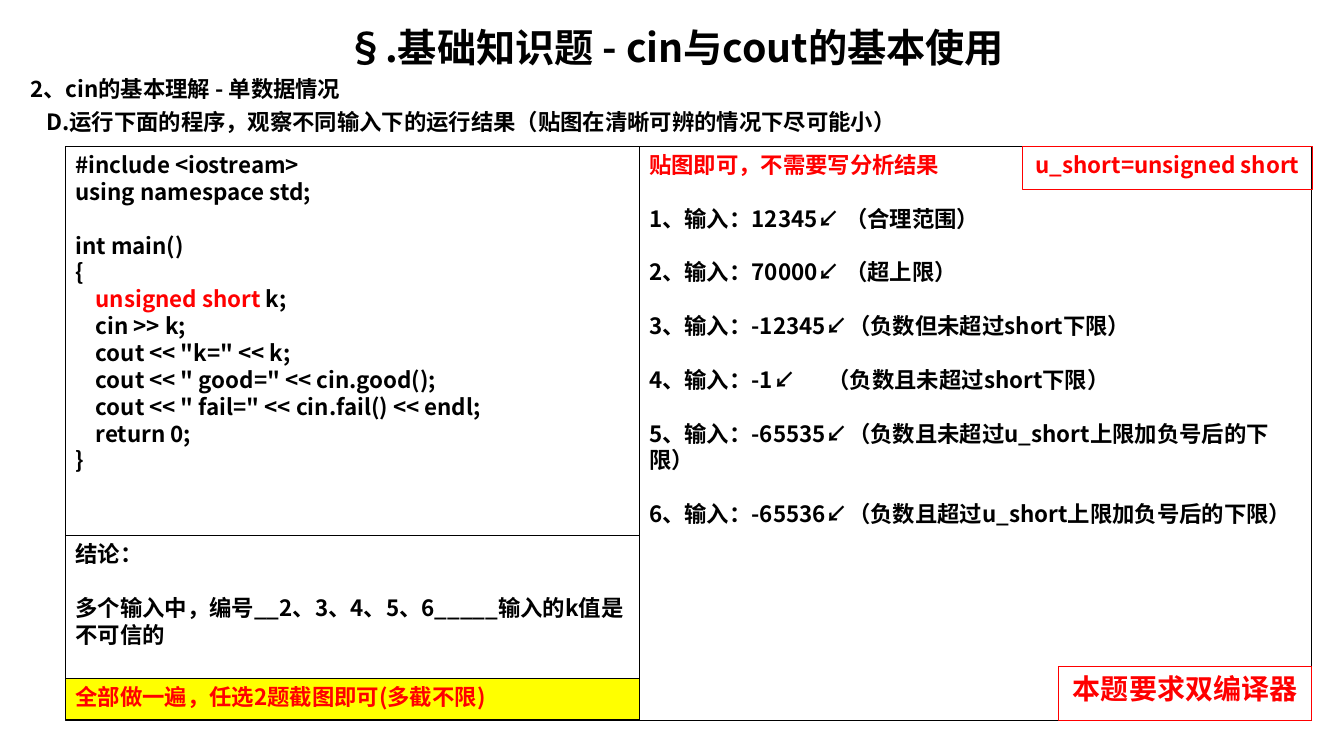
import pptx
import pptx.dml.color
import pptx.enum.shapes
import pptx.enum.text
import pptx.oxml
import pptx.oxml.ns
import pptx.util
from pptx.util import Inches

FONT = "Noto Sans CJK SC"
COLORS = {"black": "000000", "red": "FF0000", "yellow": "FFFF00"}
BODY_SIZE = 16
LINE_RATIO = 1.2
BLANK_LINE = BODY_SIZE * LINE_RATIO
HEADING_GAP = BLANK_LINE * 0.2

LEFT, TOP, BOTTOM = 0.65, 1.45, 7.15
CODE_WIDTH, INPUT_WIDTH = 5.69, 6.67
MIDDLE = LEFT + CODE_WIDTH

CODE_START = ["#include <iostream>", "using namespace std;"]
CODE_MAIN = [
    "{",
    [("    ", "black"), ("unsigned short", "red"), (" k;", "black")],
    "    cin >> k;",
    '    cout << "k=" << k;',
    '    cout << " good=" << cin.good();',
    '    cout << " fail=" << cin.fail() << endl;',
    "    return 0;",
    "}",
]
INPUTS = [
    "1、输入：12345↙ （合理范围）",
    "2、输入：70000↙ （超上限）",
    "3、输入：-12345↙（负数但未超过short下限）",
    "4、输入：-1↙\t（负数且未超过short下限）",
    "5、输入：-65535↙（负数且未超过u_short上限加负号后的下限）",
    "6、输入：-65536↙（负数且超过u_short上限加负号后的下限）",
]


def rgb(color):
    return pptx.dml.color.RGBColor.from_string(COLORS[color])


def add_run(paragraph, text, size, color):
    run = paragraph.add_run()
    run.text = text
    run.font.name = FONT
    run.font.size = pptx.util.Pt(size)
    run.font.bold = True
    run.font.color.rgb = rgb(color)
    latin = run.font._element.find(pptx.oxml.ns.qn("a:latin"))
    east_asian = pptx.oxml.parse_xml(
        f'<a:ea {pptx.oxml.ns.nsdecls("a")} typeface="{FONT}"/>')
    latin.addnext(east_asian)


def add_line(frame, content, size=BODY_SIZE, color="black", before=0,
             centered=False, indent=0, tab=None):
    """Write one paragraph; content is a string or a list of (text, color)."""
    first = frame.paragraphs[0]
    paragraph = frame.add_paragraph() if first.runs else first
    properties = paragraph._p.get_or_add_pPr()
    if indent:
        properties.set("marL", str(Inches(indent)))
    if tab:
        properties.append(pptx.oxml.parse_xml(
            f'<a:tabLst {pptx.oxml.ns.nsdecls("a")}>'
            f'<a:tab pos="{Inches(tab)}" algn="l"/></a:tabLst>'))
    align = pptx.enum.text.PP_ALIGN
    paragraph.alignment = align.CENTER if centered else align.LEFT
    paragraph.line_spacing = pptx.util.Pt(size * LINE_RATIO)
    paragraph.space_before = pptx.util.Pt(before)
    runs = [(content, color)] if isinstance(content, str) else content
    for text, run_color in runs:
        add_run(paragraph, text, size, run_color)


def add_panel(slide, left, top, width, height, line="black", fill=None):
    """Add an outlined rectangle and return its text frame."""
    panel = slide.shapes.add_shape(
        pptx.enum.shapes.MSO_SHAPE.RECTANGLE,
        Inches(left), Inches(top), Inches(width), Inches(height))
    panel.shadow.inherit = False
    panel.line.color.rgb = rgb(line)
    panel.line.width = pptx.util.Pt(0.75)
    if fill:
        panel.fill.solid()
        panel.fill.fore_color.rgb = rgb(fill)
    else:
        panel.fill.background()
    frame = panel.text_frame
    frame.word_wrap = True
    frame.vertical_anchor = pptx.enum.text.MSO_ANCHOR.TOP
    return frame


def add_headings(slide):
    headings = slide.shapes.add_textbox(
        Inches(0.2), Inches(0.18), Inches(12.99), Inches(1.25)).text_frame
    headings.word_wrap = True
    add_line(headings, "§.基础知识题 - cin与cout的基本使用", size=28, centered=True)
    add_line(headings, "2、cin的基本理解 - 单数据情况", before=HEADING_GAP)
    add_line(headings,
             "D.运行下面的程序，观察不同输入下的运行结果（贴图在清晰可辨的情况下尽可能小）",
             before=HEADING_GAP, indent=0.16)


def add_code(slide):
    code = add_panel(slide, LEFT, TOP, CODE_WIDTH, BOTTOM - TOP)
    for statement in CODE_START:
        add_line(code, statement)
    add_line(code, "int main()", before=BLANK_LINE)
    for statement in CODE_MAIN:
        add_line(code, statement)


def add_inputs(slide):
    inputs = add_panel(slide, MIDDLE, TOP, INPUT_WIDTH, BOTTOM - TOP)
    add_line(inputs, "贴图即可，不需要写分析结果", color="red")
    for case in INPUTS:
        add_line(inputs, case, before=BLANK_LINE, tab=1.77 if "\t" in case else None)


def add_conclusion(slide):
    conclusion = add_panel(slide, LEFT, 5.31, CODE_WIDTH, 1.83)
    add_line(conclusion, "结论：")
    add_line(conclusion, "多个输入中，编号__2、3、4、5、6_____输入的k值是不可信的",
             before=BLANK_LINE)


def main():
    deck = pptx.Presentation()
    deck.slide_width, deck.slide_height = Inches(13.33), Inches(7.5)
    slide = deck.slides.add_slide(deck.slide_layouts[6])

    add_headings(slide)
    add_code(slide)
    add_inputs(slide)
    compilers = add_panel(slide, 10.5, 6.61, 2.51, 0.54, line="red")
    add_line(compilers, "本题要求双编译器", size=20, color="red", centered=True)
    add_conclusion(slide)
    abbreviation = add_panel(slide, 10.14, TOP, 2.88, 0.43, line="red")
    add_line(abbreviation, "u_short=unsigned short", color="red", centered=True)
    reminder = add_panel(slide, LEFT, 6.73, CODE_WIDTH, 0.41, fill="yellow")
    add_line(reminder, "全部做一遍，任选2题截图即可(多截不限)", color="red")

    deck.save("out.pptx")


if __name__ == "__main__":
    main()
